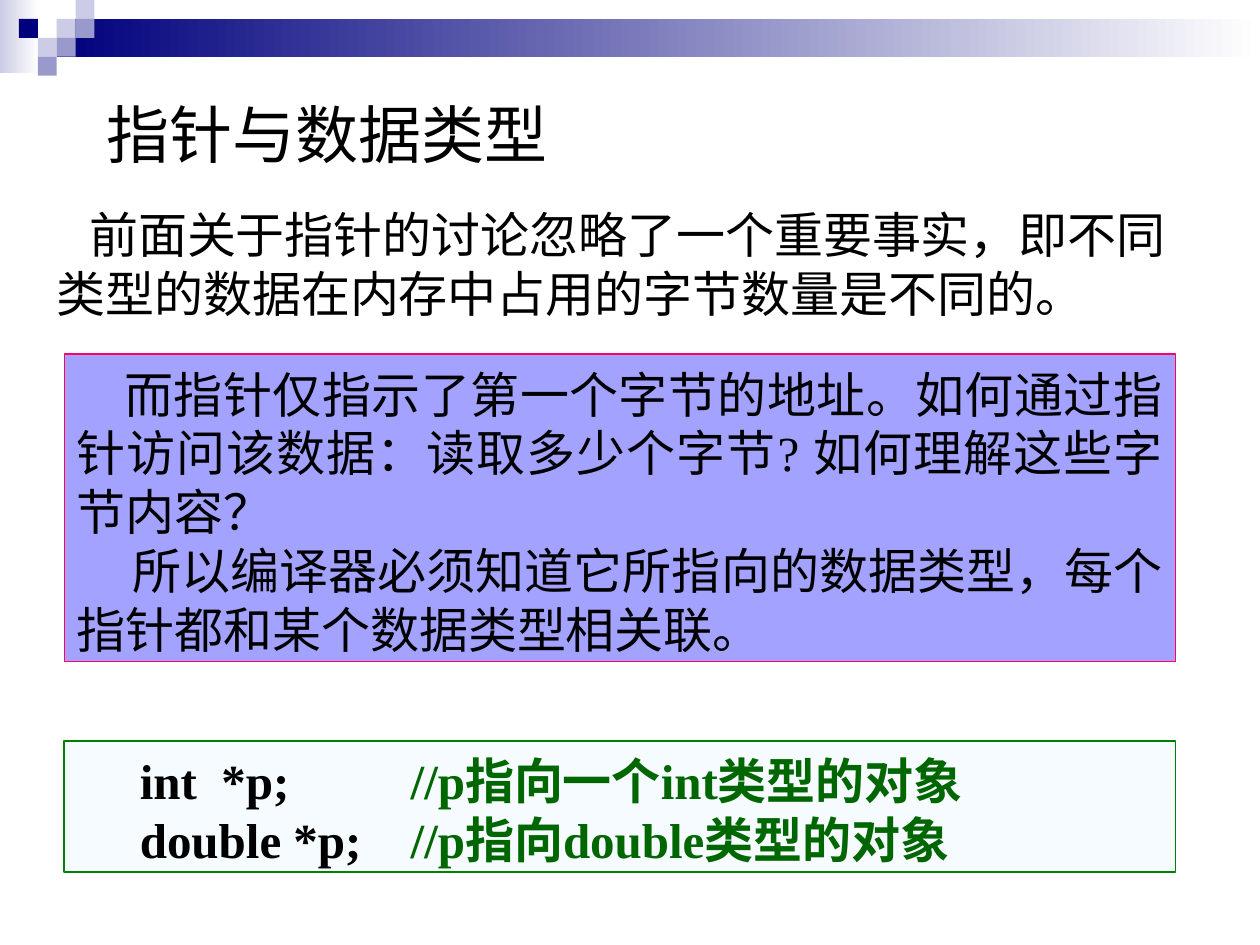
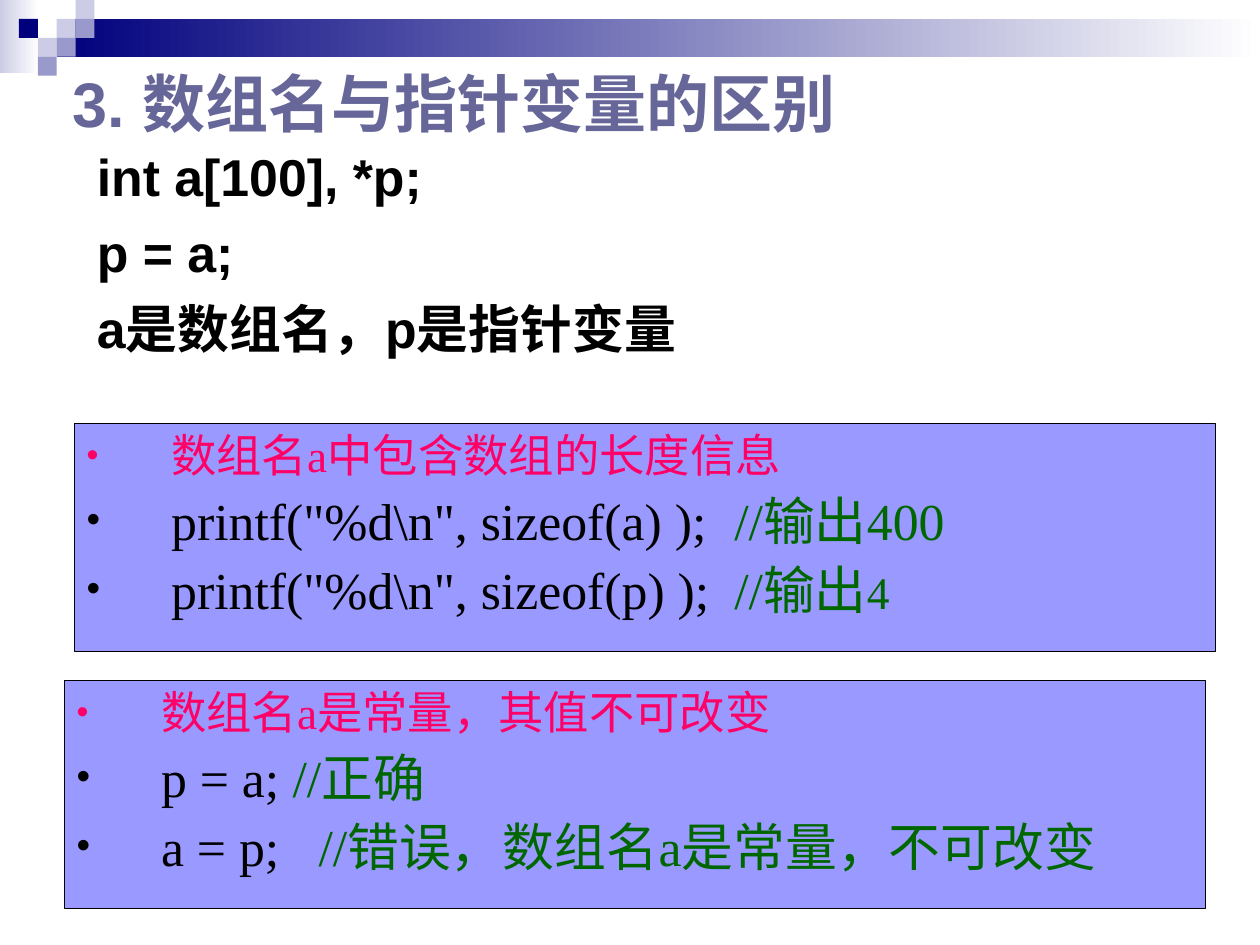
from lxml.etree import SubElement
from pptx import Presentation
from pptx.dml.color import RGBColor
from pptx.enum.shapes import MSO_SHAPE as Shape
from pptx.enum.text import MSO_ANCHOR as Anchor, PP_ALIGN as Align
from pptx.oxml import parse_xml
from pptx.oxml.ns import nsdecls, qn
from pptx.util import Inches, Pt

# Shared colours and fonts
BLACK = RGBColor(0x00, 0x00, 0x00)
WHITE = RGBColor(0xFF, 0xFF, 0xFF)
NAVY = RGBColor(0x00, 0x00, 0x7D)
LAVENDER = RGBColor(0xCC, 0xCC, 0xE6)
MAUVE = RGBColor(0x99, 0x99, 0xCC)
SLATE = RGBColor(0x66, 0x66, 0x99)
PERIWINKLE = RGBColor(0x99, 0x99, 0xFF)
ICE = RGBColor(0xEF, 0xF9, 0xFF)
PINK = RGBColor(0xFF, 0x00, 0x66)
GREEN = RGBColor(0x00, 0x80, 0x00)
COMMENT = RGBColor(0x00, 0x66, 0x00)
SERIF, SANS, CHINESE = "Times New Roman", "Arial", "Noto Sans CJK SC"

# Text styles
HEADING = {"size": Pt(36), "name": SERIF, "bold": False}
PLAIN = {"size": Pt(28), "name": SERIF, "bold": False}
CODE = {**PLAIN, "bold": True}
BODY = {"size": Pt(29.6), "name": SANS, "bold": True}
POINT = {"size": Pt(29.6), "name": SERIF, "bold": False}
SMALL = {**POINT, "size": Pt(25.9)}

UNIT = 0.15  # side of one square in the corner pattern
SQUARES = [(3, 1, LAVENDER), (4, 0, LAVENDER), (4, 1, MAUVE), (2, 2, LAVENDER),
           (1, 1, NAVY), (3, 2, MAUVE), (2, 3, MAUVE)]


def set_all(target, values):
    for name, value in values.items():
        setattr(target, name, value)


def add_rect(page, area, color, line=None, line_width=0.75, alpha=None):
    rect = page.shapes.add_shape(Shape.RECTANGLE, *map(Inches, area))
    rect.shadow.inherit = False
    rect.fill.solid()
    rect.fill.fore_color.rgb = color
    if alpha:
        color_node = rect.fill._xPr.find(".//" + qn("a:srgbClr"))
        SubElement(color_node, qn("a:alpha"), val=str(alpha * 1000))
    if line is None:
        rect.line.fill.background()
    else:
        rect.line.color.rgb = line
        rect.line.width = Pt(line_width)
    return rect


def add_fade(page, area, color):
    rect = add_rect(page, area, color)
    rect.fill.gradient()
    rect.fill.gradient_angle = 0
    for stop, shade, position in zip(rect.fill.gradient_stops, (color, WHITE), (0, 1)):
        set_all(stop, {"position": position})
        stop.color.rgb = shade


def add_band(page):
    add_fade(page, (0, 0, 0.31, 0.58), LAVENDER)
    add_fade(page, (3 * UNIT, UNIT, 10 - 3 * UNIT, 2 * UNIT), NAVY)
    for column, row, color in SQUARES:
        add_rect(page, (column * UNIT, row * UNIT, UNIT, UNIT), color)


def add_span(para, text, style, color=BLACK, shadow=False):
    span = para.add_run()
    span.text = text
    set_all(span.font, style)
    span.font.color.rgb = color
    props = span.font._element
    SubElement(props, qn("a:ea"), typeface=CHINESE)
    if shadow:
        props.find(qn("a:latin")).addprevious(parse_xml(
            f'<a:effectLst {nsdecls("a")}><a:outerShdw dist="25400" dir="2700000">'
            '<a:srgbClr val="808080"/></a:outerShdw></a:effectLst>'))


def set_indent(para, left=0, first=0):
    props = para._p.get_or_add_pPr()
    props.set("marL", str(Inches(left)))
    props.set("indent", str(Inches(first)))
    return props


def add_bullet(para, color):
    props = set_indent(para, 0.67, -0.67)
    bullet_color = SubElement(props, qn("a:buClr"))
    SubElement(bullet_color, qn("a:srgbClr"), val=str(color))
    SubElement(props, qn("a:buSzPct"), val="75000")
    SubElement(props, qn("a:buFont"), typeface=SANS)
    SubElement(props, qn("a:buChar"), char="•")


def add_tabs(para, stops):
    tab_list = SubElement(para._p.get_or_add_pPr(), qn("a:tabLst"))
    for stop in stops:
        SubElement(tab_list, qn("a:tab"), pos=str(Inches(stop)), algn="l")


def fill_text(box, paras, anchor=Anchor.TOP, left=0.1, align=Align.LEFT,
              spacing=1.2, before=0, bullets=False, tabs=(), indents=()):
    """Each paragraph is a list of (text, style[, color[, shadow]]) spans."""
    frame = box.text_frame
    set_all(frame, {"word_wrap": True, "vertical_anchor": anchor,
                    "margin_left": Inches(left), "margin_right": Inches(0.1),
                    "margin_top": Inches(0.08), "margin_bottom": Inches(0.02)})
    for index, spans in enumerate(paras):
        para = frame.add_paragraph() if index else frame.paragraphs[0]
        if bullets:
            add_bullet(para, spans[0][2])
        elif indents:
            set_indent(para, first=indents[index])
        if tabs:
            add_tabs(para, tabs)
        size = spans[0][1]["size"].pt
        set_all(para, {"alignment": align, "line_spacing": Pt(round(size * spacing, 1)),
                       "space_before": Pt(before if index else 0)})
        for span in spans:
            add_span(para, *span)


def add_text(page, area, paras, **layout):
    fill_text(page.shapes.add_textbox(*map(Inches, area)), paras, **layout)


def add_points(page, left, top, paras, tabs):
    panel = add_rect(page, (left, top, 9.06, 1.81), PERIWINKLE, BLACK)
    fill_text(panel, paras, spacing=1.06, before=8, bullets=True, tabs=tabs)


def build_types_page(page):
    add_text(page, (0.75, 0.62, 7.64, 0.81), [[("指针与数据类型", HEADING)]],
             anchor=Anchor.MIDDLE)

    # Declarations with aligned comments
    code = add_rect(page, (0.51, 5.88, 8.82, 1.04), ICE, GREEN, 1, alpha=54)
    fill_text(code, [
        [("int  *p;\t", CODE), ("//p指向一个int类型的对象", CODE, COMMENT)],
        [("double *p;\t", CODE), ("//p指向double类型的对象", CODE, COMMENT)],
    ], left=0.6, tabs=(2.15,))

    # Explanation panel
    panel = add_rect(page, (0.51, 2.81, 8.82, 2.44), PERIWINKLE, PINK, alpha=90)
    fill_text(panel, [
        [("而指针仅指示了第一个字节的地址。如何通过指针访问该数据：读取多少个字节? "
          "如何理解这些字节内容？", PLAIN)],
        [("所以编译器必须知道它所指向的数据类型，每个指针都和某个数据类型相关联。", PLAIN)],
    ], align=Align.JUSTIFY, indents=(0.38, 0.44))

    # Introduction
    add_text(page, (0.35, 1.54, 9.06, 1.04), [
        [("前面关于指针的讨论忽略了一个重要事实，即不同类型的数据在内存中占用的字节数量是不同的。",
          {**PLAIN, "name": CHINESE}, BLACK, True)],
    ], anchor=Anchor.MIDDLE, indents=(0.26,))


def build_arrays_page(page):
    add_text(page, (0.48, 0.03, 9, 1.5),
             [[("3. 数组名与指针变量的区别", {**HEADING, "name": SANS, "bold": True}, SLATE)]],
             anchor=Anchor.MIDDLE)
    lines = ("int a[100], *p;", "p = a;", "a是数组名，p是指针变量")
    add_text(page, (0.67, 1.07, 5.21, 2.05), [[(line, BODY)] for line in lines], before=8)

    # Array length
    add_points(page, 0.59, 3.36, [
        [("数组名a中包含数组的长度信息", SMALL, PINK)],
        [('printf("%d\\n", sizeof(a) );\t', POINT, BLACK), ("//输出400", POINT, COMMENT)],
        [('printf("%d\\n", sizeof(p) );\t', POINT, BLACK), ("//输出", POINT, COMMENT),
         ("4", SMALL, COMMENT)],
    ], tabs=(4.47, 5.14))

    # Array name is constant
    add_points(page, 0.51, 5.4, [
        [("数组名a是常量，其值不可改变", SMALL, PINK)],
        [("p = a; ", POINT, BLACK), ("//正确", POINT, COMMENT)],
        [("a = p;\t", POINT, BLACK), ("//错误，数组名a是常量，不可改变", POINT, COMMENT)],
    ], tabs=(1.25, 1.92))


def main():
    deck = Presentation()
    set_all(deck, {"slide_width": Inches(10), "slide_height": Inches(7.5)})
    for build_page in (build_types_page, build_arrays_page):
        page = deck.slides.add_slide(deck.slide_layouts[6])
        add_band(page)
        build_page(page)
    deck.save("out.pptx")


if __name__ == "__main__":
    main()
